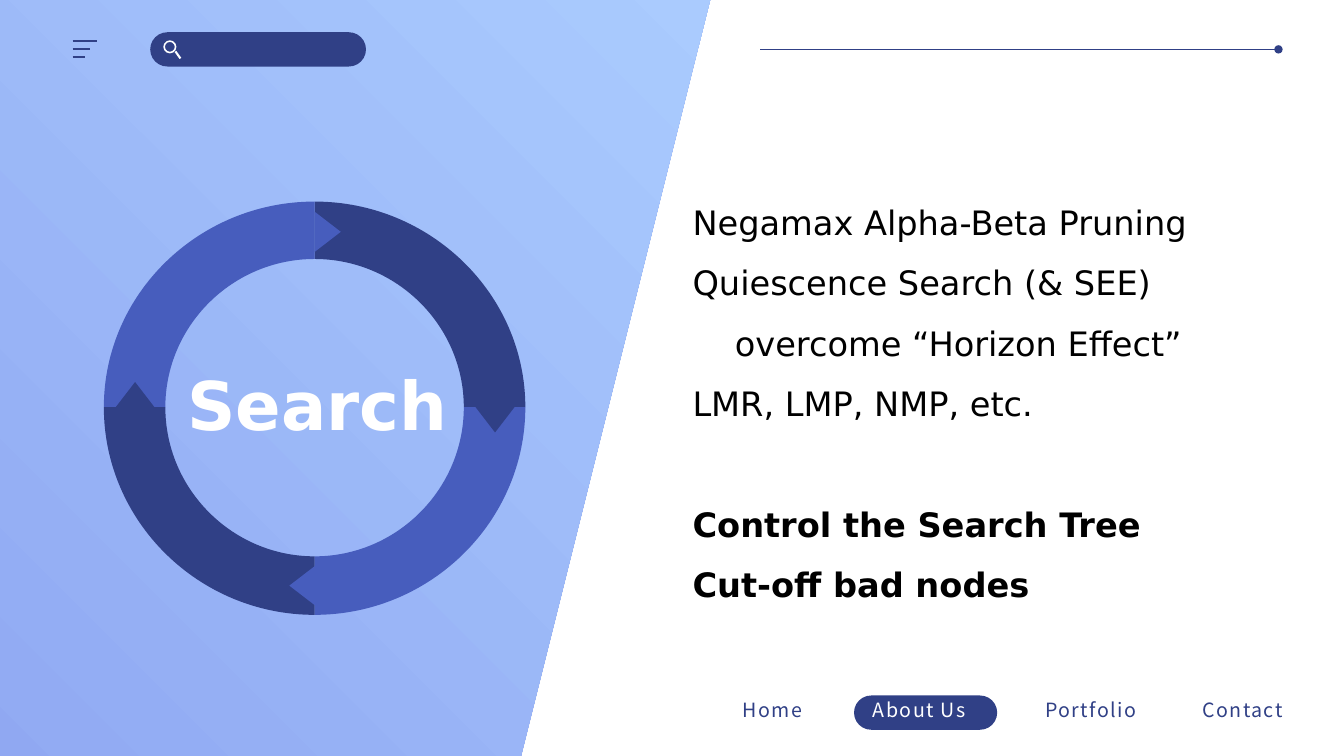
from lxml import etree
from pptx import Presentation
from pptx.dml.color import RGBColor
from pptx.enum import shapes, text
from pptx.oxml.ns import qn
from pptx.util import Inches, Pt

NAVY = RGBColor(0x30, 0x40, 0x86)
BLUE = RGBColor(0x47, 0x5D, 0xBD)
SKY_DARK = RGBColor(0x8B, 0xA2, 0xF0)
SKY_LIGHT = RGBColor(0xAA, 0xCB, 0xFE)
WHITE = RGBColor(0xFF, 0xFF, 0xFF)
BLACK = RGBColor(0, 0, 0)
NAV_FONT = "Noto Sans CJK SC"
BODY_FONT = "DejaVu Sans"

presentation = Presentation()
presentation.slide_width = Inches(13.33)
presentation.slide_height = Inches(7.5)
slide = presentation.slides.add_slide(presentation.slide_layouts[6])


def add_filled(kind, left, top, width, height, color):
    shape = slide.shapes.add_shape(
        kind, Inches(left), Inches(top), Inches(width), Inches(height))
    shape.shadow.inherit = False
    shape.fill.solid()
    shape.fill.fore_color.rgb = color
    shape.line.fill.background()
    return shape


def add_line(x1, y1, x2, y2, color, weight):
    line = slide.shapes.add_connector(
        shapes.MSO_CONNECTOR.STRAIGHT, Inches(x1), Inches(y1), Inches(x2), Inches(y2))
    line.line.color.rgb = color
    line.line.width = Pt(weight)
    etree.SubElement(line._element.spPr, qn("a:effectLst"))
    return line


# Slanted gradient panel
panel = add_filled(shapes.MSO_SHAPE.PARALLELOGRAM, -2.11, -0.11, 9.18, 8.56, SKY_DARK)
panel.fill.gradient()
panel.fill.gradient_angle = 45
for stop, color in zip(panel.fill.gradient_stops, (SKY_DARK, SKY_LIGHT)):
    stop.color.rgb = color

# Search bar with magnifier
search_bar = add_filled(shapes.MSO_SHAPE.ROUNDED_RECTANGLE, 1.49, 0.32, 2.14, 0.34, NAVY)
search_bar.adjustments[0] = 0.5
lens = add_filled(shapes.MSO_SHAPE.DONUT, 1.62, 0.4, 0.13, 0.13, WHITE)
lens.adjustments[0] = 0.125
add_line(1.74, 0.51, 1.79, 0.58, WHITE, 1.5)

# Menu icon
for row, end in enumerate((0.96, 0.89, 0.84)):
    y = 0.41 + 0.08 * row
    add_line(0.72, y, end, y, NAVY, 1.5)

# Navigation
active_pill = add_filled(shapes.MSO_SHAPE.ROUNDED_RECTANGLE, 8.47, 6.9, 1.42, 0.34, NAVY)
active_pill.adjustments[0] = 0.5
for label, left, width, color in (
    ("Home", 7.27, 0.83, NAVY),
    ("About Us", 8.56, 1.27, WHITE),
    ("Portfolio", 10.27, 1.14, NAVY),
    ("Contact", 11.83, 1.1, NAVY),
):
    nav_box = slide.shapes.add_textbox(
        Inches(left), Inches(6.87), Inches(width), Inches(0.34))
    nav_box.text_frame.word_wrap = False
    nav_box.text_frame.auto_size = text.MSO_AUTO_SIZE.SHAPE_TO_FIT_TEXT
    nav_box.text_frame.text = label
    font = nav_box.text_frame.paragraphs[0].runs[0].font
    font.name, font.size = NAV_FONT, Pt(14)
    font.color.rgb = color
    font._element.set("spc", "100")

# Ring of four quarters, each bounded by two Bezier arcs
CENTER_X, CENTER_Y = 3.12, 4.04
OUTER_X, INNER_X = 2.09, 1.48
BEZIER = 0.55
for side_x, side_y, outer_y, inner_y, color in (
    (1, -1, 2.04, 1.47, NAVY),
    (-1, -1, 2.04, 1.47, BLUE),
    (1, 1, 2.06, 1.48, BLUE),
    (-1, 1, 2.06, 1.48, NAVY),
):
    arc = ((0, 1), (BEZIER, 1), (1, BEZIER), (1, 0))
    outline = [(x * OUTER_X, y * outer_y) for x, y in arc]
    outline += [(x * INNER_X, y * inner_y) for x, y in reversed(arc)]
    points = [(Inches(CENTER_X + side_x * x), Inches(CENTER_Y + side_y * y))
              for x, y in outline]
    builder = slide.shapes.build_freeform(*points[0])
    builder.add_line_segments(points[1:], close=True)
    quarter = builder.convert_to_shape()
    quarter.shadow.inherit = False
    quarter.fill.solid()
    quarter.fill.fore_color.rgb = color
    quarter.line.fill.background()
    # Turn the control points of both arcs into curves
    segments = list(quarter._element.iter(qn("a:lnTo")))
    for arc_segments in (segments[:3], segments[4:7]):
        curve = etree.Element(qn("a:cubicBezTo"))
        arc_segments[0].addprevious(curve)
        for segment in arc_segments:
            curve.append(segment[0])
            segment.getparent().remove(segment)

# Arrow tips where the quarters meet
for left, top, rotation, color in (
    (3.05, 2.17, 90, BLUE),
    (4.71, 4.03, 180, NAVY),
    (2.8, 5.68, 270, BLUE),
    (1.14, 3.79, 0, NAVY),
):
    tip = add_filled(shapes.MSO_SHAPE.ISOSCELES_TRIANGLE, left, top, 0.4, 0.26, color)
    tip.rotation = rotation

# Header line with a dot at its end
header_line = add_line(7.54, 0.49, 12.68, 0.49, NAVY, 0.5)
etree.SubElement(header_line.line._get_or_add_ln(), qn("a:tailEnd"), type="oval")

# Ring title
title_box = slide.shapes.add_textbox(Inches(1.63), Inches(3.56), Inches(3.04), Inches(0.91))
title_box.text_frame.word_wrap = True
title_box.text_frame.auto_size = text.MSO_AUTO_SIZE.SHAPE_TO_FIT_TEXT
title_box.text_frame.text = "Search"
paragraph = title_box.text_frame.paragraphs[0]
paragraph.alignment = text.PP_ALIGN.CENTER
font = paragraph.runs[0].font
font.name, font.size, font.bold = BODY_FONT, Pt(48), True
font.color.rgb = WHITE

# Techniques: text, bold, indent in inches, space before in points
body_box = slide.shapes.add_textbox(Inches(6.77), Inches(1.75), Inches(7.05), Inches(4.26))
body_frame = body_box.text_frame
body_frame.word_wrap = True
body_frame.auto_size = text.MSO_AUTO_SIZE.SHAPE_TO_FIT_TEXT
techniques = (
    ("Negamax Alpha-Beta Pruning", False, 0, 0),
    ("Quiescence Search (& SEE)", False, 0, 0),
    ("overcome “Horizon Effect”", False, 0.42, 0),
    ("LMR, LMP, NMP, etc.", False, 0, 0),
    ("Control the Search Tree", True, 0, 43),
    ("Cut-off bad nodes", True, 0, 0),
)
body_frame.text = "\n".join(technique[0] for technique in techniques)
for paragraph, (_, bold, indent, gap) in zip(body_frame.paragraphs, techniques):
    paragraph.line_spacing = 1.5
    paragraph.space_before = Pt(gap)
    paragraph._p.get_or_add_pPr().set("marL", str(Inches(indent)))
    font = paragraph.runs[0].font
    font.name, font.size, font.bold = BODY_FONT, Pt(24), bold
    font.color.rgb = BLACK

presentation.save("out.pptx")
